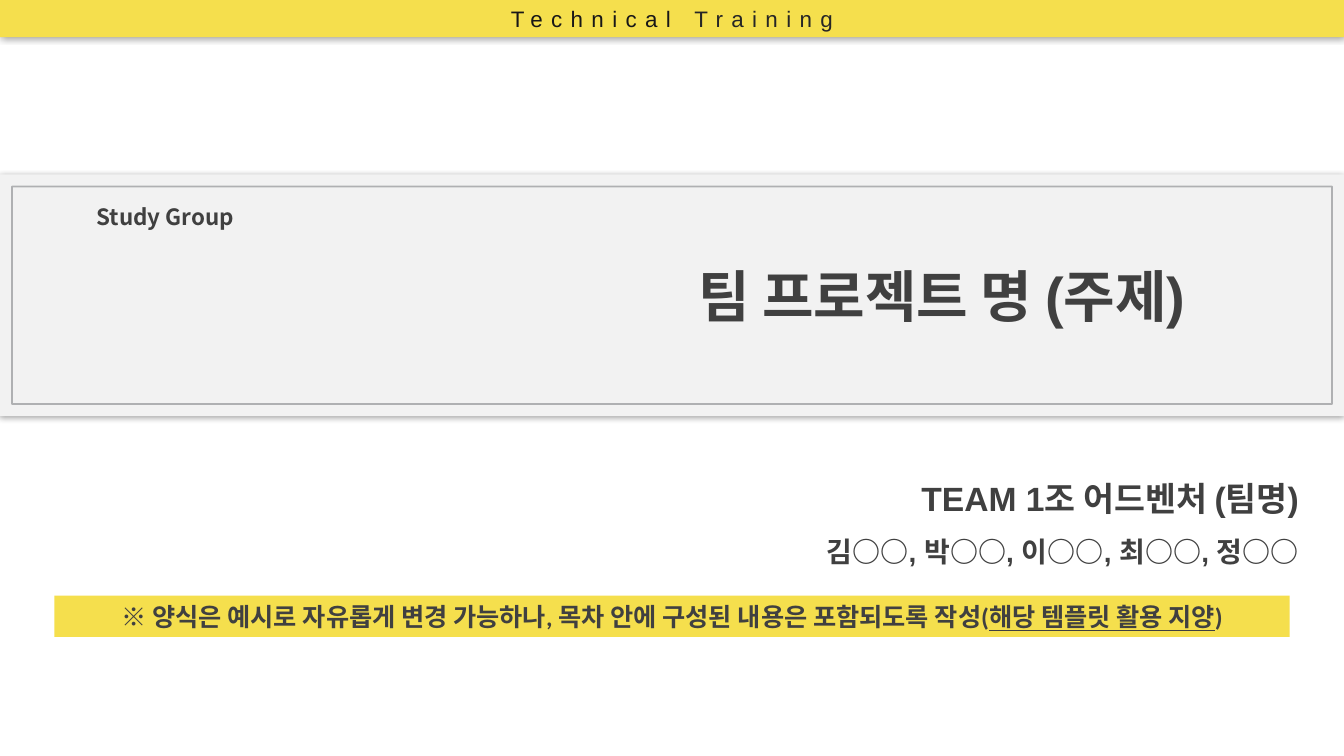
from lxml.etree import SubElement
from pptx import Presentation
from pptx.dml.color import RGBColor
from pptx.enum.shapes import MSO_SHAPE
from pptx.enum.text import MSO_ANCHOR as Anchor, MSO_AUTO_SIZE as AutoSize, PP_ALIGN as Align
from pptx.oxml.ns import qn
from pptx.util import Inches, Pt

WIDTH, HEIGHT = 13.33, 7.5
YELLOW, PALE, GREY, DARK = "F5DF4D", "F2F2F2", "939597", "404040"
KOREAN_FONT = "Noto Sans CJK KR"


def color(value):
    """Turn a hex string into a colour."""
    return RGBColor.from_string(value)


def add_alpha(parent, percent):
    """Make the colour element partly transparent."""
    SubElement(parent, qn("a:alpha"), val=str(percent * 1000))


def add_box(slide, box, fill=None, line=None, shadow=False):
    """Draw a rectangle with an optional fill, outline and soft shadow."""
    shape = slide.shapes.add_shape(MSO_SHAPE.RECTANGLE, *map(Inches, box))
    shape.shadow.inherit = False
    if fill:
        shape.fill.solid()
        shape.fill.fore_color.rgb = color(fill)
    else:
        shape.fill.background()
    if line:
        shape.line.color.rgb = color(line)
        shape.line.width = Pt(1.25)
        add_alpha(shape.line._ln.find(".//" + qn("a:srgbClr")), 70)
    else:
        shape.line.fill.background()
    if shadow:
        effects = shape._element.spPr.find(qn("a:effectLst"))
        outer = SubElement(effects, qn("a:outerShdw"), blurRad=str(Pt(5)), dist="0", dir="0")
        add_alpha(SubElement(outer, qn("a:srgbClr"), val="000000"), 40)
    return shape


def add_text_box(slide, box):
    """Add an empty text box."""
    return slide.shapes.add_textbox(*map(Inches, box))


def format_frame(shape, **values):
    """Set wrapping, anchor and other values of a text frame."""
    frame = shape.text_frame
    for name, value in {"word_wrap": True, "vertical_anchor": Anchor.TOP, **values}.items():
        setattr(frame, name, value)
    return frame


def write(paragraph, runs, size, font="Arial", align=Align.CENTER, spacing=1.0, tracking=0):
    """Fill a paragraph with runs of text and their font values."""
    paragraph.alignment = align
    paragraph.line_spacing = spacing
    for text, extra in runs:
        run = paragraph.add_run()
        run.text = text
        values = {"name": font, "size": Pt(size), "bold": True, **extra}
        run.font.color.rgb = color(values.pop("color", DARK))
        for name, value in values.items():
            setattr(run.font, name, value)
        SubElement(run.font._element, qn("a:ea"), typeface=KOREAN_FONT)
        if tracking:
            run.font._element.set("spc", str(tracking * 100))


def build_team(slide, box):
    """Write the team name and its members."""
    frame = format_frame(add_text_box(slide, box), margin_top=0, margin_bottom=0,
                         auto_size=AutoSize.SHAPE_TO_FIT_TEXT)
    lines = [("TEAM 1조 어드벤처 (팀명)", 24), ("김○○, 박○○, 이○○, 최○○, 정○○", 20)]
    for index, (text, size) in enumerate(lines):
        paragraph = frame.add_paragraph() if index else frame.paragraphs[0]
        write(paragraph, [(text, {})], size, align=Align.RIGHT, spacing=1.5)


def build_note(slide, box):
    """Draw the yellow note strip."""
    frame = format_frame(add_box(slide, box, YELLOW), vertical_anchor=Anchor.MIDDLE)
    runs = [("※ 양식은 예시로 자유롭게 변경 가능하나, 목차 안에 구성된 내용은 포함되도록 작성(", {}),
            ("해당 템플릿 활용 지양", {"underline": True}), (")", {})]
    write(frame.paragraphs[0], runs, 18, "Calibri")


def build_title_band(slide, box):
    """Draw the grey band with its inner frame, label and title."""
    left, top, width, height = box
    inset = 0.12
    add_box(slide, box, PALE, shadow=True)
    label = add_text_box(slide, (left + 0.2, top + 0.24, 2.88, 0.37))
    frame = format_frame(label, auto_size=AutoSize.SHAPE_TO_FIT_TEXT)
    write(frame.paragraphs[0], [("Study Group", {})], 16, KOREAN_FONT)

    title = slide.shapes.title
    place = (left + 5.64, top + 0.86, 7.4, 0.67)
    for name, value in zip(("left", "top", "width", "height"), place):
        setattr(title, name, Inches(value))
    frame = format_frame(title, margin_top=0, margin_bottom=0,
                         auto_size=AutoSize.SHAPE_TO_FIT_TEXT)
    write(frame.paragraphs[0], [("팀 프로젝트 명 (주제)", {})], 40)
    title._element.getparent().append(title._element)
    add_box(slide, (left + inset, top + inset, width - 2 * inset, height - 2 * inset), line=GREY)


def build_banner(slide, box):
    """Draw the yellow banner along the top edge."""
    frame = format_frame(add_box(slide, box, YELLOW, shadow=True), vertical_anchor=Anchor.MIDDLE)
    runs = [("Technical ", {"bold": False, "color": "181717"}),
            ("Training", {"bold": False, "color": "262626"})]
    write(frame.paragraphs[0], runs, 16, tracking=6)


def main():
    """Build and save the cover slide."""
    presentation = Presentation()
    presentation.slide_width, presentation.slide_height = Inches(WIDTH), Inches(HEIGHT)
    slide = presentation.slides.add_slide(presentation.slide_layouts[5])
    build_team(slide, (7.34, 4.54, 5.64, 1.11))
    build_note(slide, (0.54, 5.91, 12.25, 0.41))
    build_title_band(slide, (0, 1.73, WIDTH, 2.4))
    build_banner(slide, (0, 0, WIDTH, 0.37))
    presentation.save("out.pptx")


if __name__ == "__main__":
    main()
